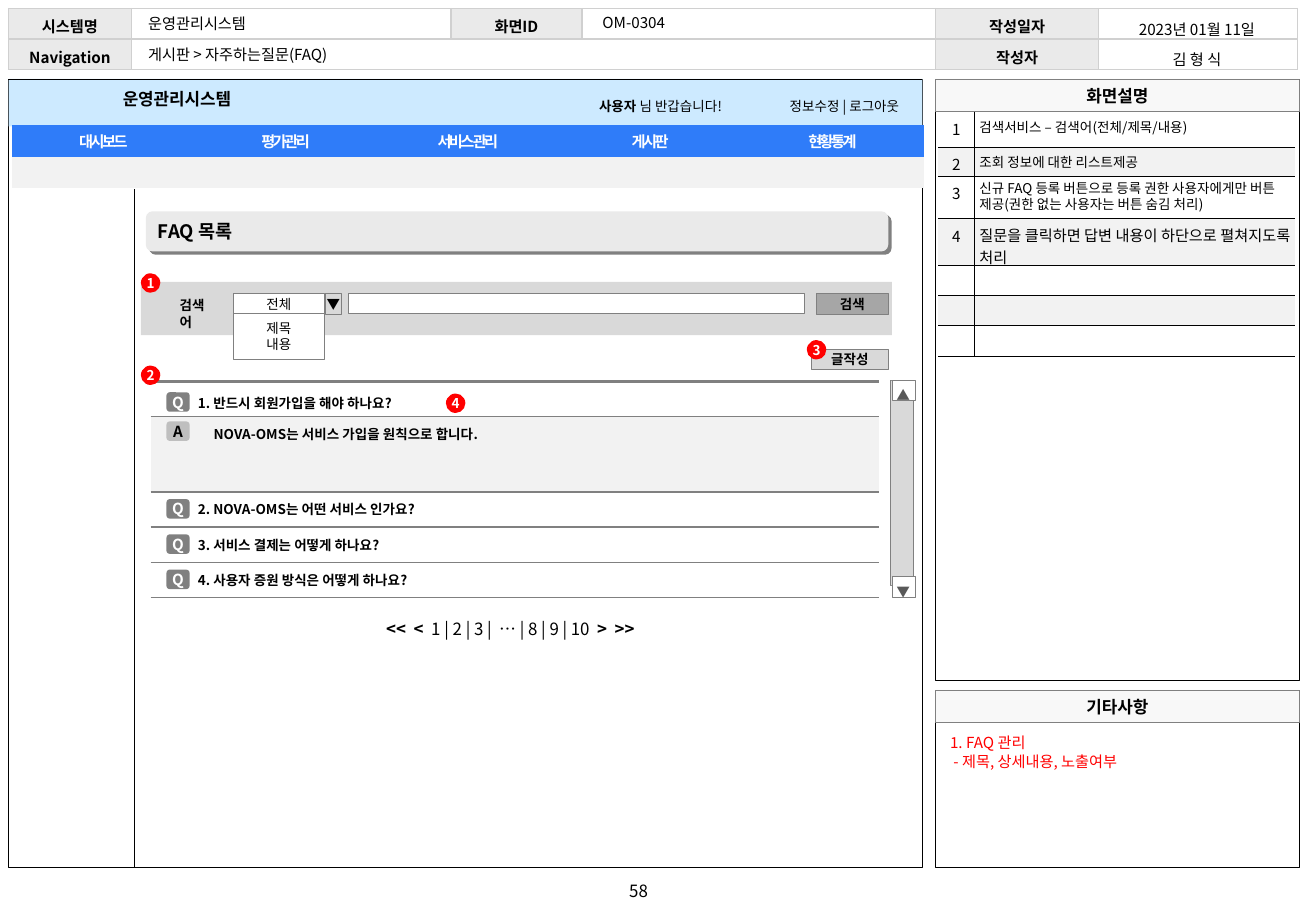
import dataclasses
import lxml.etree
import pptx
import pptx.dml.color
import pptx.enum.shapes
import pptx.enum.text
import pptx.oxml.ns
import pptx.util

Inches, Pt = pptx.util.Inches, pptx.util.Pt
KIND = pptx.enum.shapes.MSO_SHAPE
ALIGN = pptx.enum.text.PP_ALIGN
ANCHOR = pptx.enum.text.MSO_ANCHOR
qn = pptx.oxml.ns.qn


@dataclasses.dataclass
class Theme:
    font: str = "Noto Sans CJK KR"
    ink: str = "000000"
    white: str = "FFFFFF"
    red: str = "FF0000"
    blue: str = "2F7CF9"
    sky: str = "CDEAFF"
    head: str = "F8F8F8"
    pale: str = "F2F2F2"
    label: str = "EAEAEA"
    grid: str = "D0D0D0"
    soft: str = "D9D9D9"
    mid: str = "BFBFBF"
    push: str = "A6A6A6"
    gray: str = "808080"
    arrow: str = "595959"
    small: float = 8
    body: float = 9
    large: float = 10
    title: float = 11


T = Theme()

# Content
TITLE = "FAQ 목록"
LABELS = [["시스템명", "", "화면ID", "", "작성일자", ""],
          ["Navigation", "", "", "", "작성자", ""]]
VALUES = [("운영관리시스템", 1.12, 0.07, 1.4), ("OM-0304", 4.86, 0.06, 1),
          ("게시판 > 자주하는질문(FAQ)", 1.12, 0.32, 2.4)]
AUTHOR = [["2023년 01월 11일"], ["김 형 식"]]
MENU = [["대시보드", "평가관리", "서비스 관리", "게시판", "현황통계"], [""] * 5]
GREET = [[("사용자", True), (" 님 반갑습니다!", False)]]
PANELS = [("화면설명", 0.65, 4.95), ("기타사항", 5.68, 1.46)]
GUIDE = [("검색서비스 – 검색어(전체/제목/내용)", 0.29),
         ("조회 정보에 대한 리스트제공", 0.24),
         ("신규 FAQ 등록 버튼으로 등록 권한 사용자에게만 버튼 제공(권한 없는 사용자는 버튼 숨김 처리)", 0.35),
         ("질문을 클릭하면 답변 내용이 하단으로 펼쳐지도록 처리", 0.38),
         ("", 0.25), ("", 0.25), ("", 0.25)]
ASKS = [("1. 반드시 회원가입을 해야 하나요?", 3.23),
        ("2. NOVA-OMS는 어떤 서비스 인가요?", 4.11),
        ("3. 서비스 결제는 어떻게 하나요?", 4.40),
        ("4. 사용자 증원 방식은 어떻게 하나요?", 4.69)]
REPLY = "NOVA-OMS는 서비스 가입을 원칙으로 합니다."
RULES = [(3.14, 2), (3.43, 0.5), (4.05, 1), (4.34, 1), (4.63, 1), (4.92, 1)]
PAGER = [[("<<  <  ", True), ("1 | 2 | 3 |  … | 8 | 9 | 10  ", False), (">  >>", True)]]
NOTES = ["1. FAQ 관리", " - 제목, 상세내용, 노출여부"]
MARKS = [("1", 1.16, 2.25), ("2", 1.16, 3.01), ("3", 6.64, 2.8), ("4", 3.67, 3.24)]

deck = pptx.Presentation()
deck.slide_width, deck.slide_height = Inches(10.83), Inches(7.5)
slide = deck.slides.add_slide(deck.slide_layouts[5])
shapes = slide.shapes


def rgb(code):
    return pptx.dml.color.RGBColor.from_string(code)


def write(frame, lines, size=T.small, color=T.ink, bold=False, center=False, pitch=None, track=0):
    lines = [lines] if isinstance(lines, str) else lines
    frame.text = "\n" * (len(lines) - 1)
    for para, line in zip(frame.paragraphs, lines):
        if isinstance(line, str):
            para.text = line
            bolds = [bold]
        else:
            for part, _ in line:
                para.add_run().text = part
            bolds = [flag for _, flag in line]
        para.alignment = ALIGN.CENTER if center else ALIGN.LEFT
        if pitch:
            para.line_spacing = Pt(pitch)
        for run, flag in zip(para.runs, bolds):
            font = run.font
            font.name, font.size, font.bold = T.font, Pt(size), flag
            font.color.rgb = rgb(color)
            props = run._r.get_or_add_rPr()
            lxml.etree.SubElement(props, qn("a:ea"), typeface=T.font)
            if track:
                props.set("spc", str(track))
        if not para.runs:
            lxml.etree.SubElement(para._p, qn("a:endParaRPr"), sz=str(int(size * 100)))


def place(frame, pad=0.1, mid=False, wrap=True):
    frame.word_wrap = wrap
    frame.margin_left = frame.margin_right = Inches(pad)
    frame.margin_top = frame.margin_bottom = Inches(0 if mid else 0.05)
    frame.vertical_anchor = ANCHOR.MIDDLE if mid else ANCHOR.TOP


def label(lines, at, pad=0.1, mid=False, **style):
    frame = shapes.add_textbox(*map(Inches, at)).text_frame
    place(frame, pad, mid)
    write(frame, lines, **style)


def box(at, fill=None, line=None, width=0.5, kind=KIND.RECTANGLE, text=None,
        pad=0, mid=True, wrap=True, **style):
    shape = shapes.add_shape(kind, *map(Inches, at))
    shape.shadow.inherit = False
    if fill:
        shape.fill.solid()
        shape.fill.fore_color.rgb = rgb(fill)
    else:
        shape.fill.background()
    if line:
        shape.line.color.rgb = rgb(line)
        shape.line.width = Pt(width)
    else:
        shape.line.fill.background()
    if text:
        place(shape.text_frame, pad, mid, wrap)
        write(shape.text_frame, text, center=True, **style)
    return shape


def rule(x1, y1, x2, y2, color, width):
    line = shapes.add_connector(pptx.enum.shapes.MSO_CONNECTOR.STRAIGHT, *map(Inches, (x1, y1, x2, y2)))
    line.line.color.rgb, line.line.width = rgb(color), Pt(width)
    lxml.etree.SubElement(line._element.spPr, qn("a:effectLst"))


def grid(left, top, cols, rows):
    at = (left, top, sum(cols), sum(rows))
    table = shapes.add_table(len(rows), len(cols), *map(Inches, at)).table
    table.first_row = table.horz_banding = False
    table._tbl.tblPr.find(qn("a:tableStyleId")).text = "{2D5ABB26-0587-4C30-8999-92F81FD0307C}"
    for col, size in zip(table.columns, cols):
        col.width = Inches(size)
    for row, size in zip(table.rows, rows):
        row.height = Inches(size)
    return table


def cell(item, text, fill=None, sides="", edge=T.grid, width=1, pads=(0.1, 0.05, 0.1, 0.01),
         mid=True, **style):
    props = item._tc.get_or_add_tcPr()
    for side in sides:
        line = lxml.etree.SubElement(props, qn("a:ln" + side), w=str(int(Pt(width))))
        solid = lxml.etree.SubElement(line, qn("a:solidFill"))
        lxml.etree.SubElement(solid, qn("a:srgbClr"), val=edge)
    if fill:
        item.fill.solid()
        item.fill.fore_color.rgb = rgb(fill)
    else:
        item.fill.background()
    item.margin_left, item.margin_top, item.margin_right, item.margin_bottom = map(Inches, pads)
    item.vertical_anchor = ANCHOR.MIDDLE if mid else ANCHOR.TOP
    write(item.text_frame, text, **style)


# Frame and side panels
box((0.07, 0.65, 7.52, 6.49), line=T.ink, width=0.25)
for name, top, height in PANELS:
    box((7.7, top, 2.99, height), line=T.ink, width=0.25)
    box((7.7, top, 2.99, 0.27), T.head, T.gray, 0.25, text=name, size=T.large, bold=True)
label("58", (4.9, 7.2, 0.71, 0.27), mid=True, size=T.large, center=True)

# Document header
table = grid(0.07, 0.07, [1.01, 2.63, 1.08, 2.91, 1.34, 1.64], [0.25, 0.25])
for r, row in enumerate(LABELS):
    for c, text in enumerate(row):
        cell(table.cell(r, c), text, T.label if text else None, "LRTB",
             size=T.body, bold=True, center=True)
table.cell(1, 1).merge(table.cell(1, 3))
for text, left, top, width in VALUES:
    label(text, (left, top, width, 0.25), size=T.body)
table = grid(9.03, 0.09, [1.64], [0.25, 0.25])
for r, row in enumerate(AUTHOR):
    cell(table.cell(r, 0), row[0], size=T.body, center=True)

# System banner and menu
rule(1.11, 1.56, 1.11, 7.14, T.ink, 0.5)
box((0.07, 0.65, 7.52, 0.39), T.sky, None)
rule(0.07, 0.65, 7.59, 0.65, T.ink, 0.25)
label("운영관리시스템", (0.97, 0.68, 1.65, 0.27), 0.04, size=T.large, bold=True)
label(GREET, (4.89, 0.76, 1.4, 0.24), 0.04)
label("정보수정 | 로그아웃", (6.31, 0.76, 1.28, 0.24), 0.04, center=True)
table = grid(0.1, 1.03, [1.5] * 5, [0.26, 0.26])
for r, row in enumerate(MENU):
    for c, text in enumerate(row):
        cell(table.cell(r, c), text, (T.blue, T.pale)[r], pads=(0, 0, 0, 0),
             size=T.body, color=T.white, bold=True, center=True, track=-150)
table.cell(1, 0).merge(table.cell(1, 4))

# Page title on its raised bar
bar = box((1.2, 1.74, 6.11, 0.33), T.label, kind=KIND.ROUNDED_RECTANGLE)
shade = lxml.etree.SubElement(bar._element.spPr.find(qn("a:effectLst")), qn("a:outerShdw"),
                              blurRad="0", dist=str(int(Pt(2.8))), dir="2700000", algn="tl")
lxml.etree.SubElement(shade, qn("a:srgbClr"), val=T.gray)
title = shapes.title
title.left, title.top, title.width, title.height = map(Inches, (1.2, 1.74, 6.11, 0.33))
place(title.text_frame, mid=True)
write(title.text_frame, TITLE, size=T.title, bold=True)
bar._element.addnext(title._element)

# Search area
box((1.16, 2.32, 6.18, 0.44), T.soft)
label("검색어", (1.38, 2.4, 0.44, 0.24), bold=True)
box((2.87, 2.42, 3.75, 0.16), T.white, T.gray)
box((2.68, 2.42, 0.13, 0.17), T.soft, T.gray, text="▼", wrap=False, bold=True)
box((1.92, 2.42, 0.75, 0.17), T.white, T.gray, text="전체")
box((1.92, 2.58, 0.75, 0.38), T.white, T.gray, text=["제목", "내용"], pitch=9.5)
box((6.72, 2.42, 0.59, 0.17), T.push, T.gray, text="검색", bold=True)
box((6.68, 2.88, 0.63, 0.16), T.soft, T.gray, text="글작성", bold=True)

# Question list
box((1.24, 3.43, 5.99, 0.62), T.pale, kind=KIND.FLOWCHART_PROCESS)
for top, width in RULES:
    rule(1.24, top, 7.23, top, T.gray, width)
badges = [("Q", top, T.gray, T.white) for _, top in ASKS] + [("A", 3.47, T.mid, T.ink)]
for text, top, fill, color in badges:
    box((1.37, top, 0.19, 0.16), fill, kind=KIND.FLOWCHART_ALTERNATE_PROCESS,
        text=text, size=T.body, color=color, bold=True)
for text, top in ASKS:
    label(text, (1.53, top - 0.03, 2.42, 0.24), bold=True)
label(REPLY, (1.66, 3.46, 5.14, 0.5), bold=True)
label(PAGER, (2.87, 5.04, 2.66, 0.27), size=T.large, center=True)

# Scroll bar
box((7.33, 3.13, 0.19, 1.69), T.soft, T.gray)
for text, top in [("◀", 3.12), ("▶", 4.74)]:
    knob = box((7.35, top, 0.17, 0.19), T.white, T.gray, text=text, wrap=False,
               color=T.arrow, bold=True)
    knob.rotation = 90
    knob.text_frame.margin_left = Inches(0.08)

# Screen guide and notes
table = grid(7.72, 0.92, [0.3, 2.64], [height for _, height in GUIDE])
for r, (text, _) in enumerate(GUIDE):
    look = dict(fill=T.pale if r % 2 else None, edge=T.ink, width=0.25, mid=False)
    cell(table.cell(r, 0), str(r + 1) if text else "", sides="RB", pads=(0, 0.05, 0, 0),
         size=T.body, center=True, **look)
    cell(table.cell(r, 1), text, sides="LB", pads=(0.04, 0.04, 0.04, 0),
         size=T.body if r == 3 else T.small, pitch=9.5 if r == 2 else None, **look)
label(NOTES, (7.72, 5.98, 2.95, 0.4), size=T.body, color=T.red, pitch=11.3)

# Numbered markers
for text, left, top in MARKS:
    box((left, top, 0.16, 0.16), T.red, kind=KIND.OVAL, text=text, wrap=False,
        color=T.white, bold=True)

deck.save("out.pptx")
